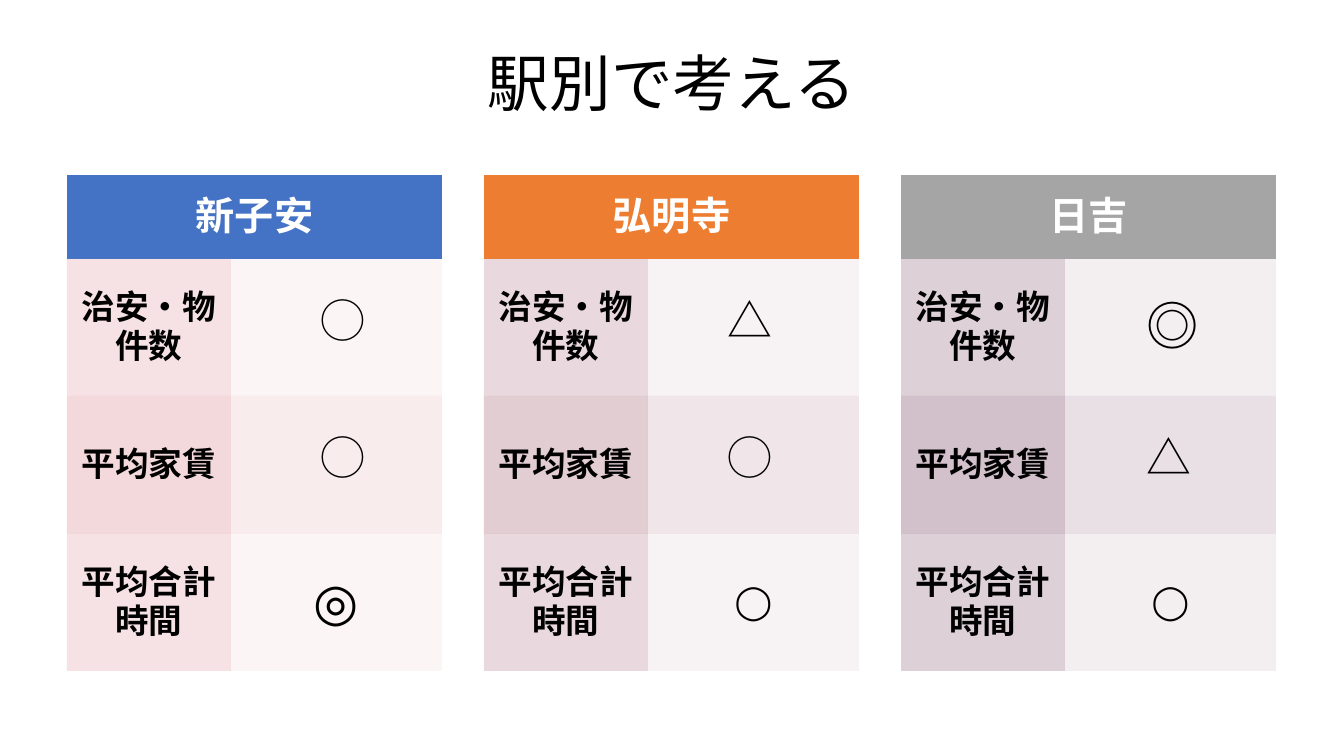
from lxml.etree import SubElement
from pptx import Presentation
from pptx.dml.color import RGBColor
from pptx.enum.text import MSO_ANCHOR, MSO_AUTO_SIZE, PP_ALIGN
from pptx.oxml.ns import qn
from pptx.util import Emu, Pt

COLORS = {
    "text": "000000", "header_text": "FFFFFF",
    "blue": "4472C4", "orange": "ED7D31", "gray": "A5A5A5",
    "pink": "E8B5BB", "mauve": "C79DA9", "plum": "A68596",
}
JAPANESE, CONDENSED, ROBOTO = "Noto Sans CJK JP", "Roboto Condensed", "Roboto"
NO_STYLE = "{2D5ABB26-0587-4C30-8999-92F81FD0307C}"
MARGIN = 13


def px(length):
    return Emu(round(length * 914400 / 100.8))


def write(text_frame, text, size, font, color="text", bold=False, align=None):
    paragraph = text_frame.paragraphs[0]
    paragraph.alignment = align
    run = paragraph.add_run()
    run.text = text
    run.font.size = Pt(size)
    run.font.bold = bold
    run.font.color.rgb = RGBColor.from_string(COLORS[color])
    run.font.name = font
    SubElement(run.font._element, qn("a:ea"), typeface=font)
    return paragraph


presentation = Presentation()
presentation.slide_width, presentation.slide_height = px(1344), px(756)
slide = presentation.slides.add_slide(presentation.slide_layouts[5])

# Title
title = slide.shapes.title
title.left, title.top, title.width, title.height = px(67), px(60), px(1210), px(54)
title_frame = title.text_frame
title_frame.auto_size = MSO_AUTO_SIZE.NONE
title_frame.vertical_anchor = MSO_ANCHOR.MIDDLE
title_frame.margin_left = title_frame.margin_right = px(MARGIN)
title_frame.margin_top = title_frame.margin_bottom = px(MARGIN)
write(title_frame, "駅別で考える", 44, JAPANESE, align=PP_ALIGN.CENTER).line_spacing = 0.9

# One table per station
stations = [
    ("新子安", "blue", "pink", "◎", 37),
    ("弘明寺", "orange", "mauve", "◯", 24),
    ("日吉", "gray", "plum", "◯", 24),
]
criteria = [("治安・物件数", 38, 13), ("平均家賃", 50, 25), ("平均合計時間", 38, 13)]
column_widths = [164, 211]
row_heights = [84, 137, 138, 137]

for index, (station, header_color, tint, time_mark, mark_size) in enumerate(stations):
    frame = slide.shapes.add_table(4, 2, px(67 + 417 * index), px(175),
                                   px(sum(column_widths)), px(sum(row_heights)))
    table = frame.table
    table.first_row = table.horz_banding = False
    table._tbl.tblPr.find(qn("a:tableStyleId")).text = NO_STYLE
    for column, width in zip(table.columns, column_widths):
        column.width = px(width)
    for row, height in zip(table.rows, row_heights):
        row.height = px(height)
    for cell in table.iter_cells():
        cell.vertical_anchor = MSO_ANCHOR.MIDDLE
        cell.margin_left = cell.margin_right = px(MARGIN)
        cell.margin_top = cell.margin_bottom = px(MARGIN)

    # Header across both columns
    header = table.cell(0, 0)
    header.merge(table.cell(0, 1))
    header.fill.solid()
    header.fill.fore_color.rgb = RGBColor.from_string(COLORS[header_color])
    write(header.text_frame, station, 28, CONDENSED, "header_text", True, PP_ALIGN.CENTER)

    # Criteria rows with translucent tints
    for row_index, (label, *opacities) in enumerate(criteria, start=1):
        for column_index, opacity in enumerate(opacities):
            cell = table.cell(row_index, column_index)
            cell.fill.solid()
            cell.fill.fore_color.rgb = RGBColor.from_string(COLORS[tint])
            color_element = cell._tc.tcPr.find(qn("a:solidFill"))[0]
            SubElement(color_element, qn("a:alpha"), val=str(opacity * 1000))
        write(table.cell(row_index, 0).text_frame, label, 24, CONDENSED,
              bold=True, align=PP_ALIGN.CENTER)
    write(table.cell(3, 1).text_frame, time_mark, mark_size, ROBOTO, align=PP_ALIGN.CENTER)

# Rating marks over the first two criteria rows
mark_lefts = [311, 718, 1137]
mark_rows = [(288, "◯△◎"), (425, "◯◯△")]
for top, marks in mark_rows:
    for left, mark in zip(mark_lefts, marks):
        width, height, size = (54, 74, 37.3) if mark == "◎" else (131, 65, 32)
        box = slide.shapes.add_textbox(px(left), px(top), px(width), px(height))
        box.text_frame.word_wrap = True
        box.text_frame.auto_size = MSO_AUTO_SIZE.SHAPE_TO_FIT_TEXT
        write(box.text_frame, mark, size, JAPANESE)

presentation.save("out.pptx")
